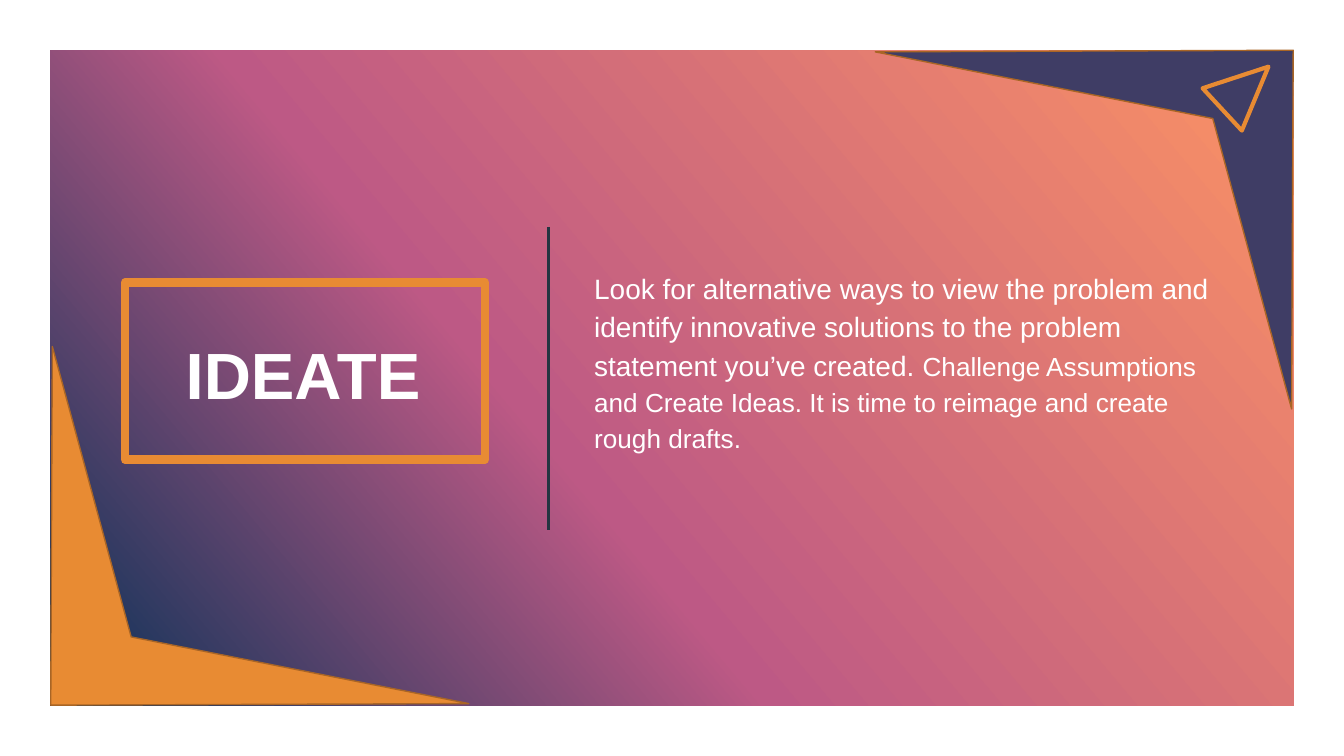
from lxml import etree
from pptx import Presentation
from pptx import util as u
from pptx.dml import color
from pptx.enum import shapes, text
from pptx.oxml import ns

SLIDE_W, SLIDE_H = 25.4, 14.29
ORANGE, NAVY, WHITE = "E88B33", "3F3D65", "FFFFFF"
GRADIENT = [(0, "FC9364"), (60, "BD5985"), (100, "023056")]


def rgb(value):
    return color.RGBColor.from_string(value)


def cm(*lengths):
    return [u.Cm(length) for length in lengths]


def paint(shape, fill=None, line=None, width=0.75):
    """Set fill and outline; None leaves that part out."""
    shape.shadow.inherit = False
    if fill:
        shape.fill.solid()
        shape.fill.fore_color.rgb = rgb(fill)
    else:
        shape.fill.background()
    if line:
        shape.line.color.rgb = rgb(line)
        shape.line.width = u.Pt(width)
    else:
        shape.line.fill.background()


def round_corners(shape):
    etree.SubElement(shape.line._get_or_add_ln(), ns.qn("a:round"))


def text_frame(slide, box, insets):
    frame = slide.shapes.add_textbox(*cm(*box)).text_frame
    frame.word_wrap = True
    frame.vertical_anchor = text.MSO_ANCHOR.MIDDLE
    (frame.margin_left, frame.margin_top,
     frame.margin_right, frame.margin_bottom) = cm(*insets)
    return frame


def add_backdrop(slide, box, margin):
    """White page with a gradient panel inset by the margin."""
    left, top, width, height = box
    page = slide.shapes.add_shape(shapes.MSO_SHAPE.RECTANGLE, *cm(*box))
    paint(page, WHITE)

    panel = slide.shapes.add_shape(
        shapes.MSO_SHAPE.RECTANGLE,
        *cm(left + margin, top + margin, width - 2 * margin, height - 2 * margin))
    paint(panel)
    panel.fill.gradient()
    panel.fill.gradient_angle = 220
    stops = panel.fill._fill._gradFill.find(ns.qn("a:gsLst"))
    for stop in list(stops):
        stops.remove(stop)
    for percent, value in GRADIENT:
        stop = etree.SubElement(stops, ns.qn("a:gs"), pos=str(percent * 1000))
        etree.SubElement(stop, ns.qn("a:srgbClr"), val=value)


def add_heading(slide, box):
    """Framed, centred heading."""
    left, top, width, height = box
    frame = text_frame(slide, box, (0.18, 0.1, 0.18, 0.1))
    heading = frame.paragraphs[0]
    heading.text = "IDEATE"
    heading.alignment = text.PP_ALIGN.CENTER
    heading.line_spacing = 0.9
    heading.font.name = "Arial"
    heading.font.size = u.Pt(35)
    heading.font.bold = True
    heading.font.color.rgb = rgb(WHITE)

    border = slide.shapes.add_shape(
        shapes.MSO_SHAPE.RECTANGLE,
        *cm(left + 0.58, top + 3.33, width - 1.09, 3.35))
    paint(border, line=ORANGE, width=4.5)
    round_corners(border)


def add_divider(slide, x, top, bottom):
    divider = slide.shapes.add_connector(
        shapes.MSO_CONNECTOR.STRAIGHT, *cm(x, top, x, bottom))
    divider.line.color.rgb = rgb("243541")
    divider.line.width = u.Pt(1.5)
    etree.SubElement(divider._element.spPr, ns.qn("a:effectLst"))


def add_description(slide, box):
    """Body text, set slightly above the middle of its box."""
    description = text_frame(slide, box, (0.18, 0.1, 0, 0.79)).paragraphs[0]
    description.line_spacing = 1.15
    description.font.name = "Arial"
    description.font.color.rgb = rgb(WHITE)
    for words, size in (
        ("Look for alternative ways to view the problem and identify innovative "
         "solutions to the problem statement you’ve created. ", 15),
        ("Challenge Assumptions and Create Ideas. It is time to reimage and "
         "create rough drafts.", 14),
    ):
        sentence = description.add_run()
        sentence.text = words
        sentence.font.size = u.Pt(size)


def add_corner(slide, box, fill, rotation=0):
    """Bent wedge for the lower left corner; turn it for the opposite one."""
    left, top, width, height = box
    outline = [(0.03, 0), (1.52, 5.49), (width, height - 0.03), (0, height)]
    points = [tuple(cm(left + x, top + y)) for x, y in outline]
    builder = slide.shapes.build_freeform(*points[0])
    builder.add_line_segments(points[1:], close=True)
    wedge = builder.convert_to_shape()
    paint(wedge, fill, "A96525")
    wedge.rotation = rotation


def add_pointer(slide, box):
    pointer = slide.shapes.add_shape(
        shapes.MSO_SHAPE.FLOWCHART_EXTRACT, *cm(*box))
    paint(pointer, line=ORANGE, width=2.25)
    round_corners(pointer)
    pointer.rotation = 47.2


def main():
    deck = Presentation()
    deck.slide_width, deck.slide_height = cm(SLIDE_W, SLIDE_H)
    slide = deck.slides.add_slide(deck.slide_layouts[6])
    slide.background.fill.solid()
    slide.background.fill.fore_color.rgb = rgb("DDDDFF")

    add_backdrop(slide, (0, 0, SLIDE_W, SLIDE_H), 0.95)
    add_heading(slide, (1.78, 2.01, 7.9, 10.29))
    add_divider(slide, 10.36, 4.29, 10.01)
    add_description(slide, (11.05, 2.01, 12.45, 10.29))

    # Corner decorations
    add_corner(slide, (0.96, 6.55, 7.9, 6.78), ORANGE)
    add_corner(slide, (16.54, 0.95, 7.9, 6.78), NAVY, rotation=180)
    add_pointer(slide, (22.99, 1.07, 1.09, 1.19))

    deck.save("out.pptx")


if __name__ == "__main__":
    main()
